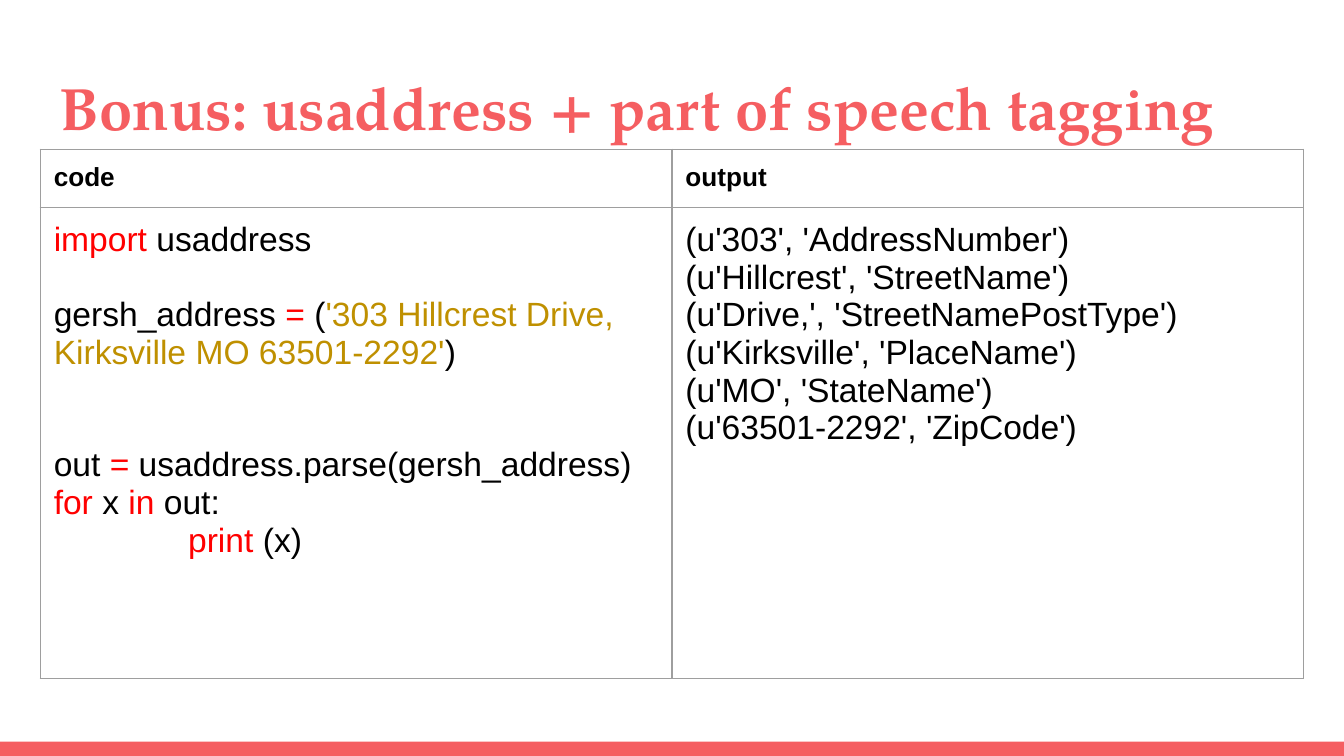
from lxml import etree
from pptx import Presentation
from pptx import util as u
from pptx.dml.color import RGBColor
from pptx.enum import shapes, text
from pptx.oxml import ns

CORAL = RGBColor(0xF5, 0x5E, 0x61)
BLACK = RGBColor(0x00, 0x00, 0x00)
RED = RGBColor(0xFF, 0x00, 0x00)
GOLD = RGBColor(0xBF, 0x90, 0x00)
GRAY = RGBColor(0x9E, 0x9E, 0x9E)

WIDTH = u.Inches(10)
HEIGHT = WIDTH * 9 // 16
LINE_HEIGHT = 20.1  # points, one line of body text

# Each line: blank lines' worth of space above it, then (text, colour) parts.
CODE_LINES = [
    (0, [("import", RED), (" usaddress", BLACK)]),
    (1, [("gersh_address ", BLACK), ("=", RED), (" (", BLACK),
         ("'303 Hillcrest Drive, Kirksville MO 63501-2292'", GOLD), (")", BLACK)]),
    (2, [("out ", BLACK), ("=", RED), (" usaddress.parse(gersh_address)", BLACK)]),
    (0, [("for", RED), (" x ", BLACK), ("in", RED), (" out:", BLACK)]),
    (0, [("\t", BLACK), ("print ", RED), ("(x)", BLACK)]),
]
TAGS = [
    ("303", "AddressNumber"),
    ("Hillcrest", "StreetName"),
    ("Drive,", "StreetNamePostType"),
    ("Kirksville", "PlaceName"),
    ("MO", "StateName"),
    ("63501-2292", "ZipCode"),
]
OUTPUT_LINES = [(0, [(f"(u'{token}', '{tag}')", BLACK)]) for token, tag in TAGS]


class SlideBuilder:
    """Holds the style and the current slide; lengths are percentages of its size."""

    title_font, body_font = "TeX Gyre Pagella", "Arial"
    title_size, header_size, body_size = 32, 14, 18
    inset = u.Inches(0.1)
    tab_stop = u.Inches(1)

    def __init__(self, presentation):
        self.slide = presentation.slides.add_slide(presentation.slide_layouts[6])

    def box(self, left, top, width, height):
        return (round(left * WIDTH / 100), round(top * HEIGHT / 100),
                round(width * WIDTH / 100), round(height * HEIGHT / 100))

    def style(self, run, font, size, color, bold=False):
        run.font.name, run.font.size = font, u.Pt(size)
        run.font.color.rgb, run.font.bold = color, bold

    def bar(self, *area):
        shape = self.slide.shapes.add_shape(
            shapes.MSO_SHAPE.RECTANGLE, *self.box(*area))
        shape.shadow.inherit = False
        shape.fill.solid()
        shape.fill.fore_color.rgb = CORAL
        shape.line.fill.background()

    def title(self, wording, *area):
        frame = self.slide.shapes.add_textbox(*self.box(*area)).text_frame
        frame.word_wrap = True
        frame.vertical_anchor = text.MSO_ANCHOR.MIDDLE
        frame.margin_left = frame.margin_right = self.inset
        frame.margin_top = frame.margin_bottom = self.inset
        frame.text = wording
        self.style(frame.paragraphs[0].runs[0], self.title_font,
                   self.title_size, CORAL, bold=True)

    def table(self, headers, columns, row_heights, left, top, width):
        box = self.box(left, top, width, sum(row_heights))
        table = self.slide.shapes.add_table(2, len(headers), *box).table
        for row, height in zip(table.rows, row_heights):
            row.height = round(height * HEIGHT / 100)
        for index, (header, lines) in enumerate(zip(headers, columns)):
            header_lines = [(0, [(header, BLACK)])]
            self.cell(table.cell(0, index), header_lines, self.header_size, True)
            self.cell(table.cell(1, index), lines, self.body_size)

    def cell(self, cell, lines, size, bold=False):
        cell.margin_left = cell.margin_right = self.inset
        cell.margin_top = cell.margin_bottom = self.inset
        self.borders(cell)
        cell.fill.background()
        frame = cell.text_frame
        for index, (gap, parts) in enumerate(lines):
            paragraph = frame.add_paragraph() if index else frame.paragraphs[0]
            paragraph.space_before = u.Pt(gap * LINE_HEIGHT)
            for wording, color in parts:
                run = paragraph.add_run()
                run.text = wording
                self.style(run, self.body_font, size, color, bold)
            if "\t" in paragraph.text:
                self.tab(paragraph)

    def tab(self, paragraph):
        properties = paragraph._p.get_or_add_pPr()
        tabs = etree.SubElement(properties, ns.qn("a:tabLst"))
        etree.SubElement(tabs, ns.qn("a:tab"), pos=str(self.tab_stop), algn="l")

    def borders(self, cell):
        properties = cell._tc.get_or_add_tcPr()
        for side in ("a:lnL", "a:lnR", "a:lnT", "a:lnB"):
            line = etree.SubElement(properties, ns.qn(side), w=str(u.Pt(0.75)))
            fill = etree.SubElement(line, ns.qn("a:solidFill"))
            etree.SubElement(fill, ns.qn("a:srgbClr"), val=str(GRAY))


def main():
    presentation = Presentation()
    presentation.slide_width, presentation.slide_height = WIDTH, HEIGHT
    builder = SlideBuilder(presentation)
    builder.bar(0, 98.1, 100, 1.9)
    builder.title("Bonus: usaddress + part of speech tagging", 3.45, 8, 93.2, 12.1)
    builder.table(["code", "output"], [CODE_LINES, OUTPUT_LINES],
                  (6.6, 62.3), 3, 19.75, 94)
    presentation.save("out.pptx")


if __name__ == "__main__":
    main()
